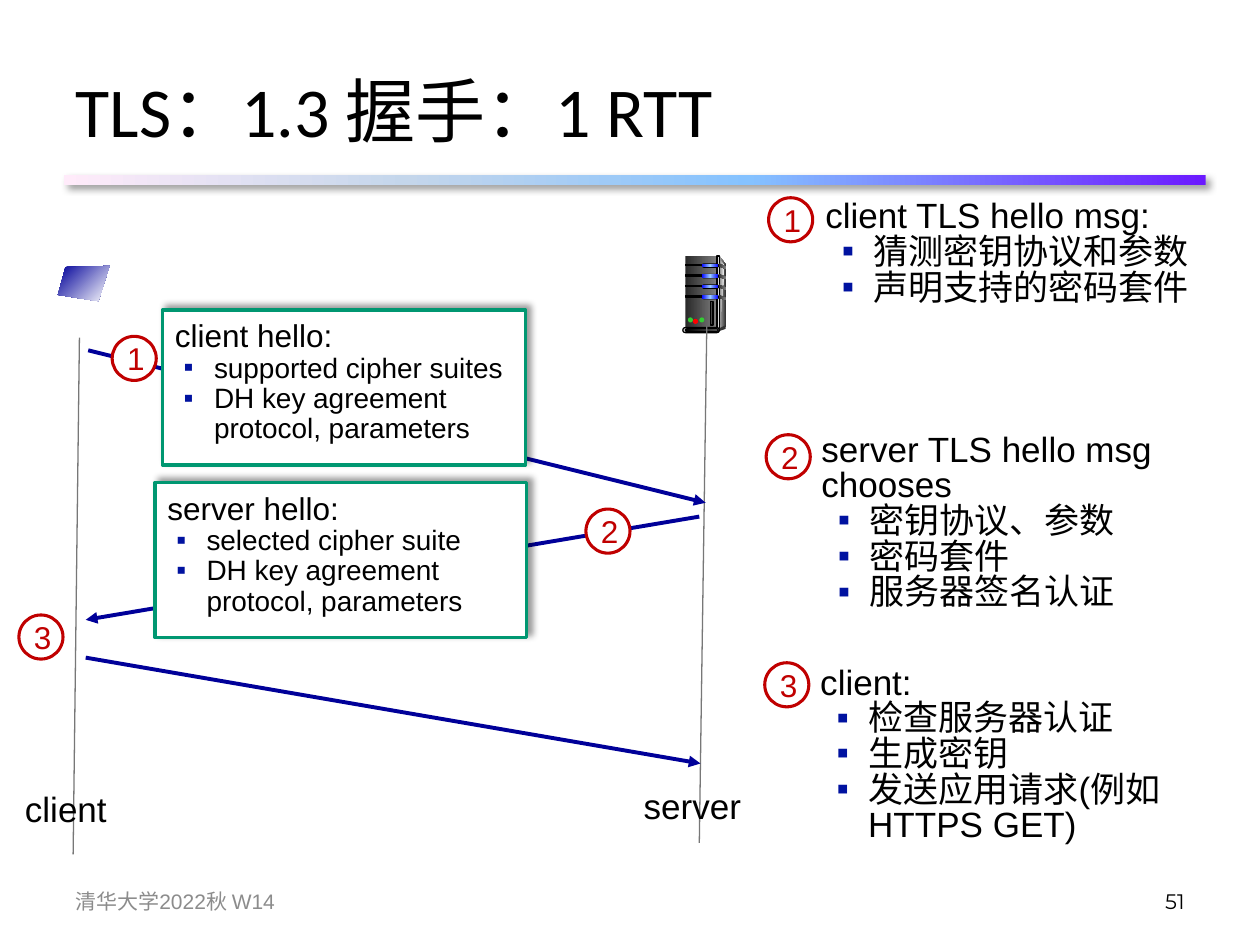
from dataclasses import dataclass

from lxml.etree import SubElement
from pptx import Presentation
from pptx.dml.color import RGBColor
from pptx.enum.shapes import MSO_CONNECTOR as CONN, MSO_SHAPE as SHAPE
from pptx.enum.text import MSO_ANCHOR as ANCHOR, MSO_AUTO_SIZE as AUTO, PP_ALIGN as ALIGN
from pptx.oxml.ns import qn
from pptx.util import Pt


@dataclass(frozen=True)
class Theme:
    """Colours, fonts and type sizes of the slide."""
    ink: str = "000000"
    paper: str = "FFFFFF"
    navy: str = "000099"
    bullet: str = "0012A0"
    red: str = "C00000"
    green: str = "009771"
    grey: str = "777777"
    muted: str = "8C8C8C"
    dark: str = "333333"
    light: str = "DDDDDD"
    lamp_on: str = "33CC33"
    lamp_off: str = "FF0000"
    rule: tuple = ((0, "6B19FF"), (40, "85C2FF"), (70, "C4D6EB"), (100, "FFEBFA"))
    screen: tuple = ((0, "000099"), (100, "FFFFFF"))
    metal: tuple = ((0, "292929"), (100, "808080"))
    side: tuple = ((0, "DDDDDD"), (100, "333333"))
    panel: tuple = ((0, "808080"), (100, "F8F8F8"))
    edge: tuple = ((0, "333333"), (50, "DDDDDD"), (100, "333333"))
    glow: tuple = ((0, "0000FF"), (50, "99CCFF"), (100, "0000FF"))
    foot: tuple = ((0, "000000"), (100, "808080"))
    font: str = "Arial"
    title_font: str = "Calibri"
    number_font: str = "Montserrat"
    title_size: int = 40
    note_size: int = 20
    head_size: int = 18
    item_size: int = 16
    small_size: int = 12


class Deck:
    """Holds the theme and the current slide and draws on it."""

    def __init__(self, prs, theme):
        """Start a slide with a title and body placeholders."""
        self.t = theme
        self.slide = prs.slides.add_slide(prs.slide_layouts[4])
        self.shapes = self.slide.shapes

    def paint(self, sp, fill, line=None, width=0.75, angle=0):
        """Give a shape its fill, a colour or gradient stops, and its line."""
        sp.shadow.inherit = False
        if isinstance(fill, str):
            sp.fill.solid()
            sp.fill.fore_color.rgb = RGBColor.from_string(fill)
        else:
            sp.fill.gradient()
            grad = sp._element.spPr.find(qn("a:gradFill"))
            stops = grad.find(qn("a:gsLst"))
            for old in list(stops):
                stops.remove(old)
            for pos, color in fill:
                gs = SubElement(stops, qn("a:gs"), pos=str(pos * 1000))
                SubElement(gs, qn("a:srgbClr"), val=color)
            grad.find(qn("a:lin")).set("ang", str(angle * 60000))
        if line:
            sp.line.color.rgb = RGBColor.from_string(line)
            sp.line.width = Pt(width)
        else:
            sp.line.fill.background()
        return sp

    def shape(self, kind, box, fill, line=None, width=0.75, angle=0):
        """Draw a preset shape."""
        sp = self.shapes.add_shape(kind, *map(Pt, box))
        if kind == SHAPE.ROUNDED_RECTANGLE:
            sp.adjustments[0] = 0.5
        return self.paint(sp, fill, line, width, angle)

    def outline(self, points, fill, angle=0):
        """Draw a closed polygon."""
        start, *rest = [(Pt(x), Pt(y)) for x, y in points]
        fb = self.shapes.build_freeform(*start)
        fb.add_line_segments(rest, close=True)
        return self.paint(fb.convert_to_shape(), fill, angle=angle)

    def shadow(self, sp, direction):
        """Add a soft outer shadow."""
        effects = sp._element.spPr.find(qn("a:effectLst"))
        outer = SubElement(effects, qn("a:outerShdw"), blurRad=str(Pt(4)), dist=str(Pt(3)),
                           dir=str(direction * 60000), algn="ctr", rotWithShape="0")
        color = SubElement(outer, qn("a:srgbClr"), val=self.t.ink)
        SubElement(color, qn("a:alpha"), val="40000")

    def line(self, start, end, color, width, arrow=False):
        """Draw a straight connector."""
        cn = self.shapes.add_connector(CONN.STRAIGHT, *map(Pt, start + end))
        cn.line.color.rgb = RGBColor.from_string(color)
        cn.line.width = Pt(width)
        if arrow:
            SubElement(cn.line._get_or_add_ln(), qn("a:tailEnd"), type="triangle")
        SubElement(cn._element.spPr, qn("a:effectLst"))

    def style(self, p, size, color=None, font=None, align=ALIGN.LEFT, spacing=1.0):
        """Format a paragraph and its runs."""
        p.alignment = align
        p.line_spacing = spacing
        p.space_before = p.space_after = Pt(0)
        for r in p.runs:
            r.font.size = Pt(size)
            r.font.name = font or self.t.font
            r.font.bold = False
            r.font.color.rgb = RGBColor.from_string(color or self.t.ink)

    def bullets(self, sp, lines, sizes, spacings, indent, hang):
        """Write a heading and its bulleted items."""
        tf = sp.text_frame
        tf.word_wrap = True
        tf.auto_size = AUTO.NONE
        tf.vertical_anchor = ANCHOR.TOP
        tf.text = "\n".join(lines)
        for i, p in enumerate(tf.paragraphs):
            item = int(i > 0)
            pPr = p._p.get_or_add_pPr()
            pPr.set("marL", str(Pt(indent * item)))
            pPr.set("indent", str(Pt(-hang * item)))
            if item:
                SubElement(SubElement(pPr, qn("a:buClr")), qn("a:srgbClr"), val=self.t.bullet)
                SubElement(pPr, qn("a:buFont"), typeface=self.t.font)
                SubElement(pPr, qn("a:buChar"), char="▪")
            else:
                SubElement(pPr, qn("a:buNone"))
            self.style(p, sizes[item], spacing=spacings[item])

    def place(self, sp, box):
        """Move a placeholder."""
        sp.left, sp.top, sp.width, sp.height = map(Pt, box)

    def title(self, text, box):
        """Fill the title placeholder."""
        sp = self.slide.shapes.title
        self.place(sp, box)
        sp.text_frame.text = text
        sp.text_frame.auto_size = AUTO.NONE
        sp.text_frame.vertical_anchor = ANCHOR.MIDDLE
        self.style(sp.text_frame.paragraphs[0], self.t.title_size, font=self.t.title_font)

    def note(self, index, box, lines):
        """Fill a body placeholder with an explanation."""
        sp = self.slide.placeholders[index]
        self.place(sp, box)
        self.bullets(sp, lines, (self.t.note_size,) * 2, (0.85, 0.85), 27.4, 18)

    def card(self, box, lines):
        """Draw a framed message with its contents."""
        sp = self.shape(SHAPE.RECTANGLE, box, self.t.paper, self.t.green, 2)
        self.shadow(sp, 315)
        self.bullets(sp, lines, (self.t.head_size, self.t.item_size), (1.0, 0.9), 22.3, 17.3)

    def badge(self, number, x, y):
        """Draw a numbered circle."""
        sp = self.shape(SHAPE.OVAL, (x, y, 25.2, 25.2), self.t.paper, self.t.red, 1.75)
        tf = sp.text_frame
        tf.margin_left, tf.margin_right, tf.margin_top, tf.margin_bottom = Pt(2), 0, 0, 0
        tf.word_wrap = False
        tf.vertical_anchor = ANCHOR.MIDDLE
        tf.text = str(number)
        self.style(tf.paragraphs[0], self.t.head_size, self.t.red, align=ALIGN.CENTER)

    def text(self, text, box, size, anchor=ANCHOR.TOP, **style):
        """Write a line of text."""
        tf = self.shapes.add_textbox(*map(Pt, box)).text_frame
        tf.word_wrap = True
        tf.vertical_anchor = anchor
        tf.text = text
        self.style(tf.paragraphs[0], size, **style)

    def server(self):
        """Draw the server tower as one group."""
        t, rect, pill = self.t, SHAPE.RECTANGLE, SHAPE.ROUNDED_RECTANGLE
        self.shapes = self.slide.shapes.add_group_shape().shapes
        self.outline([(411.1, 146.2), (414.7, 151.2), (414.7, 186.5), (409.7, 187.9)], t.side)
        self.shape(rect, (391.7, 146.2, 18.7, 41.8), t.metal)
        self.outline([(411.1, 148.3), (414, 151.9), (411.4, 186.5)], t.panel)
        self.shape(rect, (409.7, 146.2, 1.4, 41.8), t.edge, t.ink)
        for y in (150.5 + 6 * i for i in range(4)):
            self.shape(rect, (391.7, y + 0.6, 10.4, 0.7), t.ink, t.ink)
            self.shape(pill, (401, y, 10, 2.6), t.ink)
            self.shape(pill, (401, y + 0.2, 9.6, 2.1), t.glow)
            self.outline([(410.6, y), (414.7, y + 1.8), (414.7, y + 3.2), (410.6, y + 1.6)], t.metal)
        self.outline([(410.4, 187.9), (410.4, 189.4), (414.7, 187.9), (414.7, 185.8)], t.dark)
        self.shape(pill, (390.2, 187.2, 20.9, 2.9), t.light, t.ink)
        self.shape(pill, (391.7, 187.9, 18.7, 1.4), t.foot, t.ink)
        for x, y, color in ((393.1, 181.4, t.lamp_on), (396, 182.2, t.lamp_off), (399.6, 181.4, t.lamp_on)):
            self.shape(SHAPE.OVAL, (x, y, 2.9, 2.9), color)
        self.shape(rect, (406.1, 172.1, 1.4, 13.7), t.metal, t.ink)
        self.shapes = self.slide.shapes


def main():
    """Build the handshake slide."""
    prs = Presentation()
    prs.slide_width, prs.slide_height = Pt(720), Pt(540)
    t = Theme()
    s = Deck(prs, t)

    s.title("TLS：1.3 握手：1 RTT", (36, 26, 648, 73.4))
    s.note(1, (464.4, 110.9, 243.4, 69.1), ["client TLS hello msg:", "猜测密钥协议和参数", "声明支持的密码套件"])
    s.note(2, (462.2, 244.1, 257.8, 110.2),
           ["server TLS hello msg chooses", "密钥协议、参数", "密码套件", "服务器签名认证"])
    s.note(3, (461.5, 377.3, 258.5, 110.2),
           ["client:", "检查服务器认证", "生成密钥", "发送应用请求(例如HTTPS GET)"])
    spare = s.slide.placeholders[4]._element
    spare.getparent().remove(spare)

    s.shadow(s.shape(SHAPE.RECTANGLE, (36.7, 100.1, 652.3, 5.8), t.rule, angle=180), 45)
    s.text("51", (516.2, 500.4, 167.8, 28.8), t.small_size, ANCHOR.MIDDLE, font=t.number_font, align=ALIGN.RIGHT)
    s.text("清华大学2022秋 W14", (36, 500.4, 167.8, 28.8), t.small_size, ANCHOR.MIDDLE, color=t.muted)

    s.outline([(62.6, 151.9), (37.4, 152.6), (33.1, 168.5), (56.2, 172.1)], t.screen, 45)
    s.server()
    for start, end in (((45.4, 193), (41.8, 488.2)), ((403.9, 186.5), (399.6, 481.7))):
        s.line(start, end, t.grey, 0.75)
    for start, end in (((50.4, 200.2), (403.2, 287.3)), ((399.6, 295.2), (49, 354.2)),
                       ((49, 375.8), (400.3, 436.3))):
        s.line(start, end, t.navy, 2.25, arrow=True)

    agreement = "DH key agreement protocol, parameters"
    s.card((92.9, 177.1, 207.4, 88.6), ["client hello:", "supported cipher suites", agreement])
    s.card((88.6, 275.8, 212.4, 88.6), ["server hello:", "selected cipher suite", agreement])
    for number, x, y in ((1, 64.1, 192.2), (2, 334.8, 290.9), (3, 10.8, 351.4),
                         (1, 439.2, 113), (2, 437.8, 248.4), (3, 437, 378.7)):
        s.badge(number, x, y)
    s.text("client", (7.2, 450, 74.2, 28.1), t.note_size, spacing=0.85)
    s.text("server", (360.7, 448.6, 79.9, 28.1), t.note_size, spacing=0.85)

    prs.save("out.pptx")


if __name__ == "__main__":
    main()
